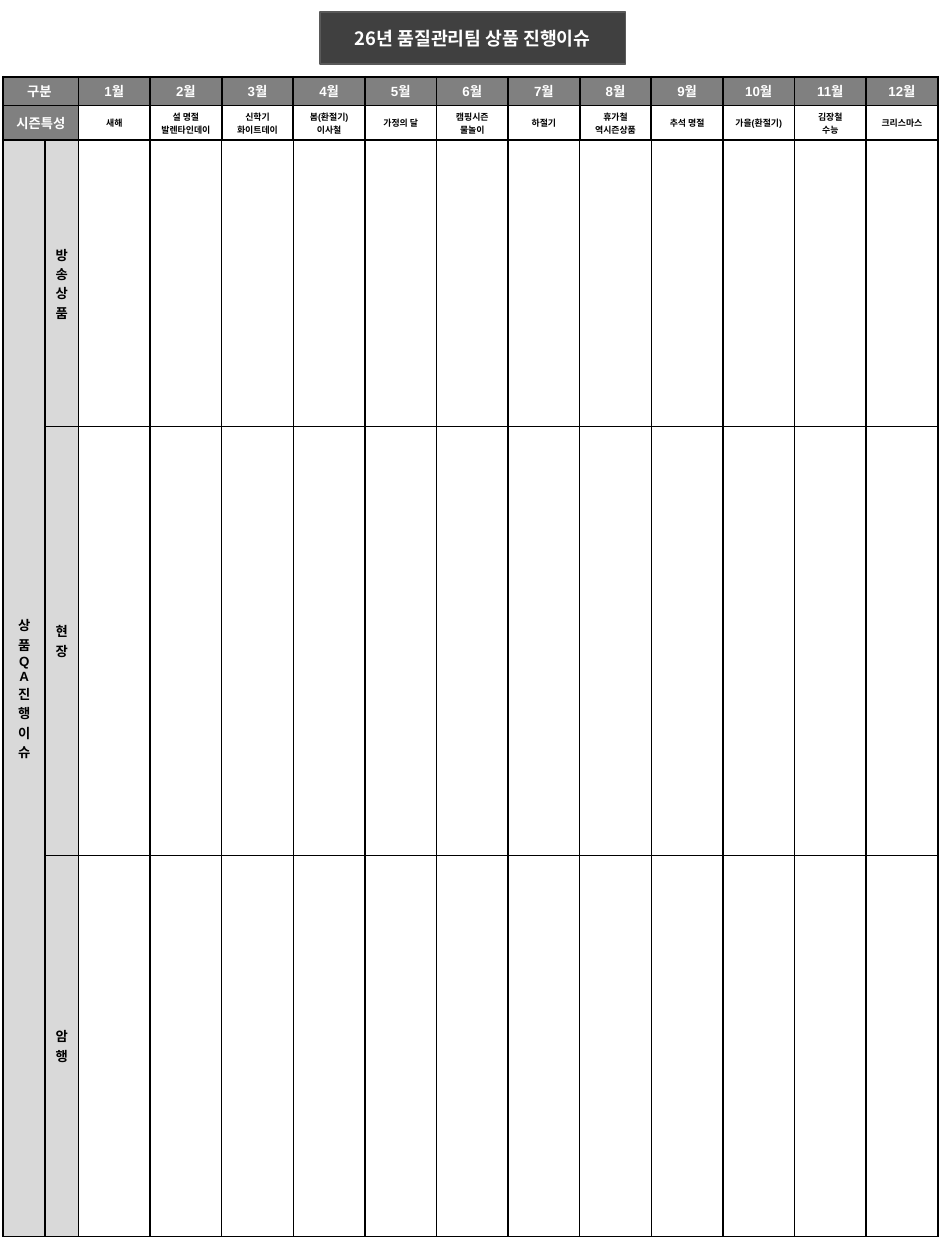
from dataclasses import dataclass

from lxml import etree
from pptx import Presentation
from pptx.dml.color import RGBColor
from pptx.enum.text import MSO_ANCHOR, MSO_AUTO_SIZE, PP_ALIGN
from pptx.oxml.ns import qn
from pptx.util import Pt

MIDDLE = MSO_ANCHOR.MIDDLE
CENTER = PP_ALIGN.CENTER
FIXED = MSO_AUTO_SIZE.NONE


@dataclass(frozen=True)
class Theme:
    """Colours, fonts, type sizes and line widths of the slide."""
    dark: str = "404040"
    edge: str = "595959"
    head: str = "808080"
    side: str = "D9D9D9"
    ink: str = "000000"
    white: str = "FFFFFF"
    latin: str = "Arial"
    hangul: str = "Noto Sans CJK KR"
    title: float = 12.4
    label: float = 9
    note: float = 6
    thick: float = 1.5
    thin: float = 1


LOOK = Theme()
SEASONS = [
    "새해", "설 명절\n발렌타인데이", "신학기\n화이트데이", "봄(환절기)\n이사철",
    "가정의 달", "캠핑시즌\n물놀이", "하절기", "휴가철\n역시즌상품",
    "추석 명절", "가을(환절기)", "김장철\n수능", "크리스마스",
]
GROUPS = ["방송\n상품", "현장", "암행"]
HEIGHTS = [17.3, 20.9, 193.5, 290.2, 257.8]
SIDES = [28.3, 22.6]


def write(frame, text, size=LOOK.label, color=LOOK.ink, font=LOOK.latin):
    """Put bold centred lines of text in a frame."""
    frame.text = text
    for para in frame.paragraphs:
        para.alignment = CENTER
        for run in para.runs:
            run.font.size = Pt(size)
            run.font.bold = True
            run.font.name = font
            run.font.color.rgb = RGBColor.from_string(color)
            east = etree.SubElement(run.font._element, qn("a:ea"))
            east.set("typeface", LOOK.hangul)


def border(cell, widths):
    """Draw the left, right, top and bottom lines of a cell."""
    props = cell._tc.get_or_add_tcPr()
    for tag, width in zip(("lnL", "lnR", "lnT", "lnB"), widths):
        line = etree.SubElement(props, qn("a:" + tag), w=str(Pt(width)))
        fill = etree.SubElement(line, qn("a:solidFill"))
        etree.SubElement(fill, qn("a:srgbClr"), val=LOOK.ink)


def style(cell, row, col):
    """Give a cell the lines, fill and margins of its place."""
    if row < 2:
        widths = [LOOK.thick] * 4
    else:
        outer = (col == 0, col == 13, row == 2, False)
        widths = [LOOK.thick if edge else LOOK.thin for edge in outer]
    border(cell, widths)
    if row == 0 or col < 2:
        cell.fill.solid()
        color = LOOK.head if row < 2 else LOOK.side
        cell.fill.fore_color.rgb = RGBColor.from_string(color)
    else:
        cell.fill.background()
    cell.vertical_anchor = MIDDLE
    inset = 3.15 if row == 1 and col > 1 else 6.5
    cell.margin_left = cell.margin_right = Pt(inset)
    cell.margin_top = cell.margin_bottom = Pt(3.15)


def banner(slide, left, top, width, height):
    """Turn the title into a rounded dark banner."""
    title = slide.shapes.title
    title.left, title.top = Pt(left), Pt(top)
    title.width, title.height = Pt(width), Pt(height)
    shape = etree.SubElement(title._element.spPr, qn("a:prstGeom"), prst="roundRect")
    etree.SubElement(shape, qn("a:avLst"))
    title.fill.solid()
    title.fill.fore_color.rgb = RGBColor.from_string(LOOK.dark)
    title.line.color.rgb = RGBColor.from_string(LOOK.edge)
    title.line.width = Pt(1)
    frame = title.text_frame
    frame.word_wrap = True
    frame.auto_size = FIXED
    frame.vertical_anchor = MIDDLE
    write(frame, "26년 품질관리팀 상품 진행이슈", size=LOOK.title,
          color=LOOK.white, font=LOOK.hangul)


def planner(slide, left, top, width):
    """Build the month table with its seasons and issue groups."""
    count = len(SEASONS)
    frame = slide.shapes.add_table(len(HEIGHTS), count + 2, Pt(left), Pt(top),
                                   Pt(width), Pt(sum(HEIGHTS)))
    table = frame.table
    table.first_row = table.horz_banding = False
    month = (width - sum(SIDES)) / count
    for column, size in zip(table.columns, SIDES + [month] * count):
        column.width = Pt(size)
    for row, size in zip(table.rows, HEIGHTS):
        row.height = Pt(size)
    for row in range(len(HEIGHTS)):
        for col in range(count + 2):
            style(table.cell(row, col), row, col)

    for row, label in enumerate(("구분 ", "시즌특성")):
        table.cell(row, 0).merge(table.cell(row, 1))
        write(table.cell(row, 0).text_frame, label, color=LOOK.white)
    for num, season in enumerate(SEASONS, 1):
        write(table.cell(0, num + 1).text_frame, f"{num}월", color=LOOK.white)
        write(table.cell(1, num + 1).text_frame, season, size=LOOK.note)
    table.cell(2, 0).merge(table.cell(4, 0))
    write(table.cell(2, 0).text_frame, "\n".join("상품QA진행이슈"))
    for row, group in enumerate(GROUPS, 2):
        write(table.cell(row, 1).text_frame, group)


def main():
    """Make the one-slide deck and save it."""
    deck = Presentation()
    deck.slide_width, deck.slide_height = Pt(639.36), Pt(852.48)
    slide = deck.slides.add_slide(deck.slide_layouts[5])
    planner(slide, 2.2, 52, 632.4)
    banner(slide, 216.6, 8, 206.6, 35.3)
    deck.save("out.pptx")


if __name__ == "__main__":
    main()
